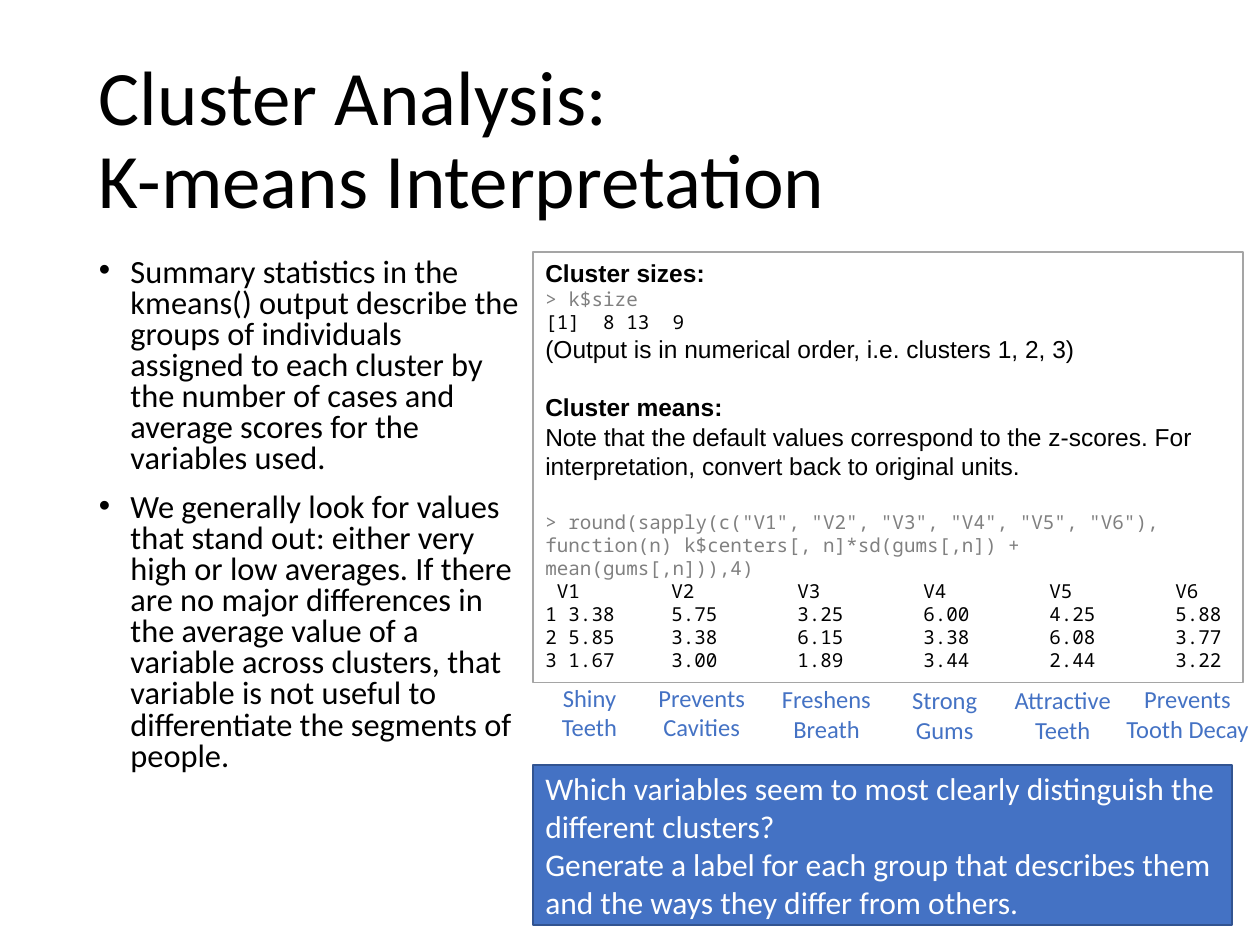
from lxml import etree
from pptx import Presentation
from pptx.dml.color import RGBColor
from pptx.enum.shapes import MSO_SHAPE
from pptx.enum.text import MSO_ANCHOR, PP_ALIGN
from pptx.oxml.ns import qn
from pptx.util import Pt

RECTANGLE = MSO_SHAPE.RECTANGLE
TOP, MIDDLE = MSO_ANCHOR.TOP, MSO_ANCHOR.MIDDLE
LEFT, CENTER = PP_ALIGN.LEFT, PP_ALIGN.CENTER

COLORS = {
    "text": "000000",
    "paper": "FFFFFF",
    "accent": "4472C4",
    "accent_edge": "325491",
    "frame": "A5A5A5",
    "code": "808080",
}

TITLE = "Cluster Analysis:\vK-means Interpretation"
POINTS = [
    "Summary statistics in the kmeans() output describe the groups of individuals "
    "assigned to each cluster by the number of cases and average scores for the "
    "variables used.",
    "We generally look for values that stand out: either very high or low averages. "
    "If there are no major differences in the average value of a variable across "
    "clusters, that variable is not useful to differentiate the segments of people.",
]
MEANS = [
    (" V1", "V2", "V3", "V4", "V5", "V6"),
    ("1 3.38", "5.75", "3.25", "6.00", "4.25", "5.88"),
    ("2 5.85", "3.38", "6.15", "3.38", "6.08", "3.77"),
    ("3 1.67", "3.00", "1.89", "3.44", "2.44", "3.22"),
]
OUTPUT = [
    ("heading", "Cluster sizes:"),
    ("command", "> k$size"),
    ("result", "[1]  8 13  9"),
    ("note", "(Output is in numerical order, i.e. clusters 1, 2, 3)"),
    ("next_heading", "Cluster means:"),
    ("note", "Note that the default values correspond to the z-scores. "
             "For interpretation, convert back to original units."),
    ("next_command", '> round(sapply(c("V1", "V2", "V3", "V4", "V5", "V6"), '
                     "function(n) k$centers[, n]*sd(gums[,n]) + mean(gums[,n])),4)"),
] + [("means", "\t".join(row)) for row in MEANS]
LABELS = [
    ("Shiny Teeth", 302.4, 386.6, 69),
    ("Prevents Cavities", 366.5, 386.6, 69),
    ("Freshens Breath", 437.8, 387.4, 69),
    ("Strong Gums", 509.8, 388, 60),
    ("Attractive Teeth", 568, 388, 78.5),
    ("Prevents Tooth Decay", 634.3, 387.4, 88.6),
]
QUESTIONS = [
    "Which variables seem to most clearly distinguish the different clusters?",
    "Generate a label for each group that describes them and the ways they differ "
    "from others.",
]

TAB_GAP = 72
BULLET_INDENT = 18
SECTION_GAP = {"space_before": Pt(16.7)}

SANS = {"name": "Arial", "size": Pt(14), "bold": False}
MONO = {"name": "Noto Sans Mono", "size": Pt(11)}
FONTS = {
    "title": ({"name": "Calibri", "size": Pt(44)}, "text"),
    "point": ({"name": "Calibri", "size": Pt(18.5)}, "text"),
    "label": ({"name": "Calibri", "size": Pt(14)}, "accent"),
    "question": ({"name": "Calibri", "size": Pt(18)}, "paper"),
    "heading": ({**SANS, "bold": True}, "text"),
    "next_heading": ({**SANS, "bold": True}, "text"),
    "note": (SANS, "text"),
    "command": (MONO, "code"),
    "next_command": (MONO, "code"),
    "result": (MONO, "text"),
    "means": (MONO, "text"),
}
PARAGRAPHS = {
    "title": {"line_spacing": 0.9},
    "point": {"line_spacing": 0.8, "space_before": Pt(10)},
    "label": {"alignment": CENTER},
    "next_heading": SECTION_GAP,
    "next_command": SECTION_GAP,
}


def set_attributes(target, values):
    for name, value in values.items():
        setattr(target, name, value)


def color(name):
    return RGBColor.from_string(COLORS[name])


def add_bullet(para):
    properties = para._p.get_or_add_pPr()
    properties.set("marL", str(Pt(BULLET_INDENT)))
    properties.set("indent", str(-Pt(BULLET_INDENT)))
    etree.SubElement(properties, qn("a:buFont"), typeface="Arial")
    etree.SubElement(properties, qn("a:buChar"), char="•")


def add_tabs(para):
    tabs = etree.SubElement(para._p.get_or_add_pPr(), qn("a:tabLst"))
    for column in range(1, len(MEANS[0])):
        etree.SubElement(tabs, qn("a:tab"), pos=str(Pt(TAB_GAP * column)), algn="l")


def write(box, lines, anchor=TOP):
    frame = box.text_frame
    set_attributes(frame, {"word_wrap": True, "vertical_anchor": anchor})
    for index, (style, text) in enumerate(lines):
        para = frame.add_paragraph() if index else frame.paragraphs[0]
        para.text = text
        set_attributes(para, {"alignment": LEFT, **PARAGRAPHS.get(style, {})})
        if style == "point":
            add_bullet(para)
        if style == "means":
            add_tabs(para)
        values, ink = FONTS[style]
        for span in para.runs:
            set_attributes(span.font, values)
            span.font.color.rgb = color(ink)


def add_text(page, place, lines, anchor=TOP):
    write(page.shapes.add_textbox(*map(Pt, place)), lines, anchor)


def add_panel(page, place, fill, edge, lines, anchor=TOP):
    box = page.shapes.add_shape(RECTANGLE, *map(Pt, place))
    box.shadow.inherit = False
    box.fill.solid()
    box.fill.fore_color.rgb = color(fill)
    box.line.color.rgb = color(edge)
    box.line.width = Pt(1)
    write(box, lines, anchor)


def main():
    deck = Presentation()
    set_attributes(deck, {"slide_width": Pt(720), "slide_height": Pt(540)})
    page = deck.slides.add_slide(deck.slide_layouts[6])
    add_text(page, (49.5, 28.8, 621, 104.4), [("title", TITLE)], MIDDLE)
    add_text(page, (49.5, 144, 255, 342.7), [("point", text) for text in POINTS])
    add_panel(page, (304.5, 144, 406, 246), "paper", "frame", OUTPUT)
    for text, left, top, width in LABELS:
        add_text(page, (left, top, width, 41), [("label", text)])
    add_panel(page, (304.5, 437, 399.5, 91.5), "accent", "accent_edge",
              [("question", text) for text in QUESTIONS], MIDDLE)
    deck.save("out.pptx")


if __name__ == "__main__":
    main()
